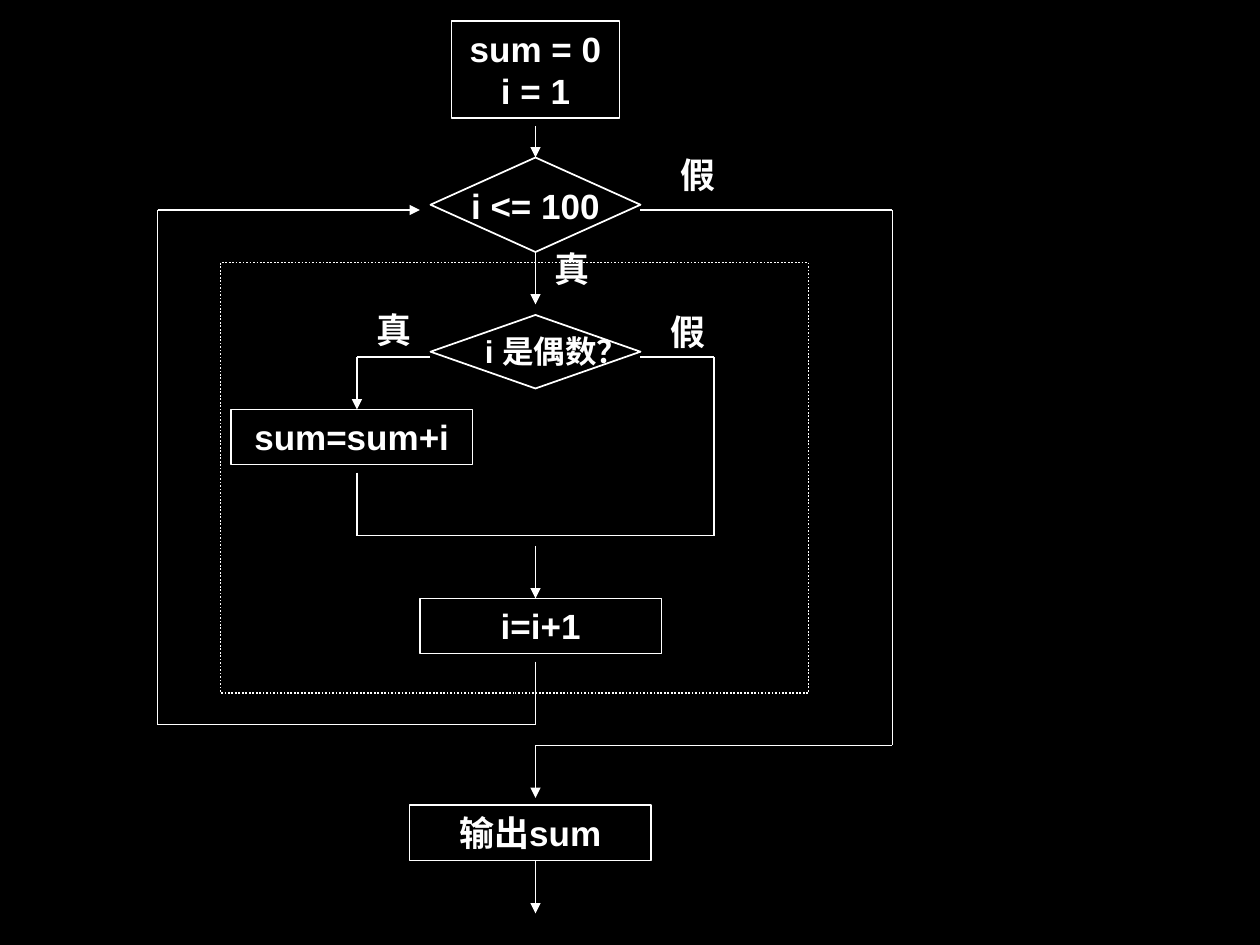
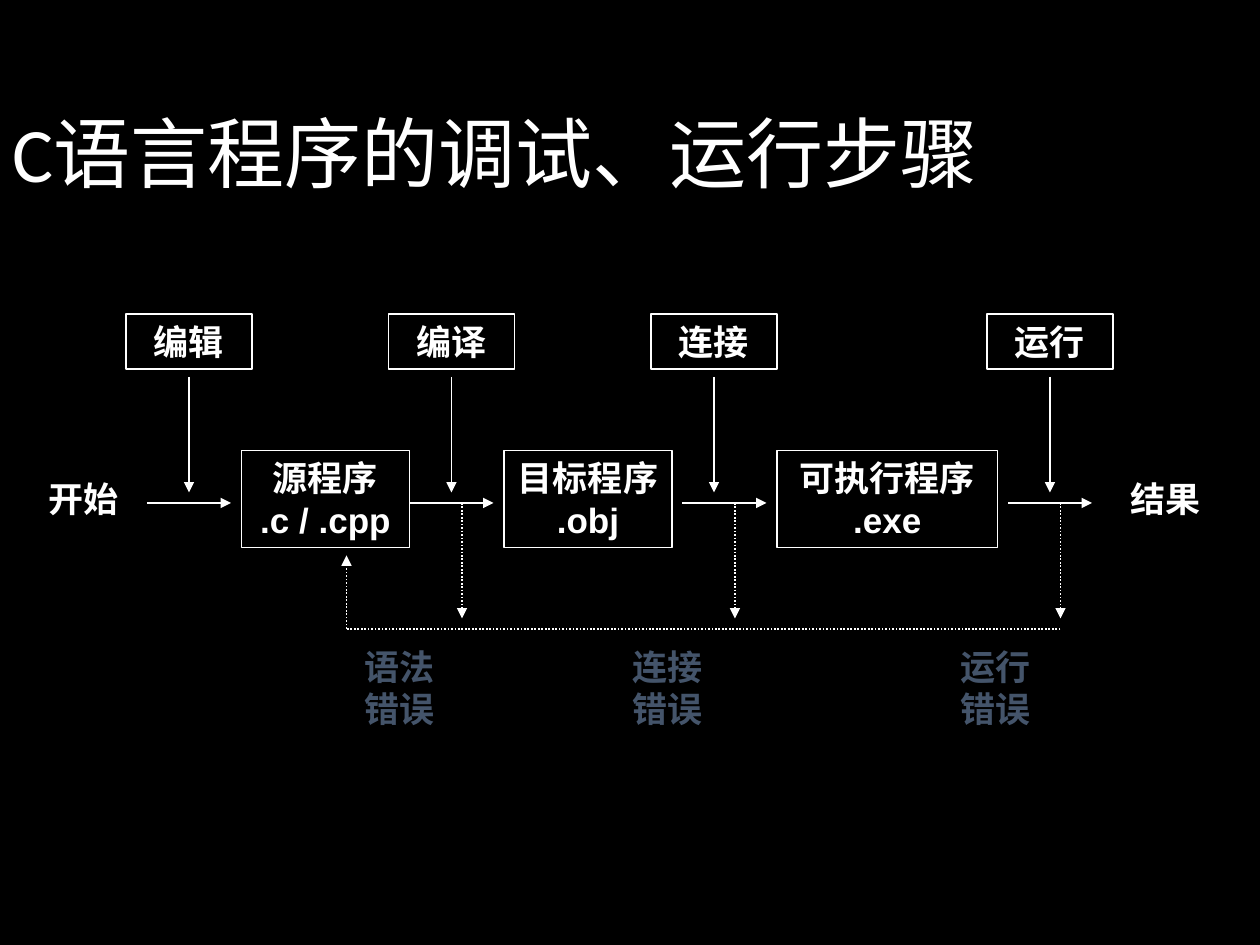
from dataclasses import dataclass
from itertools import pairwise

from lxml.etree import SubElement
from pptx import Presentation
from pptx.dml.color import RGBColor
from pptx.enum.dml import MSO_LINE as Dash
from pptx.enum.shapes import MSO_CONNECTOR as Conn, MSO_SHAPE as Shape
from pptx.enum.text import MSO_ANCHOR as Anchor, PP_ALIGN as Align
from pptx.oxml.ns import qn
from pptx.util import Inches, Pt


@dataclass(frozen=True)
class Theme:
    back: RGBColor = RGBColor.from_string("000000")
    ink: RGBColor = RGBColor.from_string("FFFFFF")
    error: RGBColor = RGBColor.from_string("44546A")
    body_font: str = "Arial"
    title_font: str = "Calibri"
    title: int = 44
    body: int = 20
    small: int = 18
    line: int = 1


T = Theme()
COLS, ROWS = 120, 90
WIDTH, HEIGHT = Inches(10), Inches(7.5)
ONE_LINE, TWO_LINES = 5.25, 9.25


@dataclass
class Region:
    shapes: object
    left: float = 0
    top: float = 0

    def point(self, col, row):
        return (round((self.left + col) * WIDTH / COLS),
                round((self.top + row) * HEIGHT / ROWS))

    def box(self, col, row, cols, rows):
        return (*self.point(col, row),
                round(cols * WIDTH / COLS), round(rows * HEIGHT / ROWS))


def write(tf, text, size=T.body, color=T.ink, font=T.body_font, bold=True,
          align=Align.CENTER, anchor=Anchor.TOP, spacing=None):
    tf.word_wrap = True
    tf.vertical_anchor = anchor
    for i, line in enumerate(text.split("\n")):
        p = tf.add_paragraph() if i else tf.paragraphs[0]
        p.alignment = align
        p.line_spacing = spacing
        r = p.add_run()
        r.text = line
        r.font.size = Pt(size)
        r.font.bold = bold
        r.font.name = font
        r.font.color.rgb = color


def style_line(line, dash):
    line.color.rgb = T.ink
    line.width = Pt(T.line)
    if dash:
        line.dash_style = dash


def outline(region, box, text="", kind=Shape.RECTANGLE, dash=None):
    sp = region.shapes.add_shape(kind, *region.box(*box))
    sp.shadow.inherit = False
    sp.fill.background()
    style_line(sp.line, dash)
    if text:
        write(sp.text_frame, text)
    return sp


def label(region, box, text, **fmt):
    tb = region.shapes.add_textbox(*region.box(*box))
    write(tb.text_frame, text, **fmt)


def route(region, *points, dash=None, arrow=True):
    for start, end in pairwise(points):
        cx = region.shapes.add_connector(
            Conn.STRAIGHT, *region.point(*start), *region.point(*end))
        style_line(cx.line, dash)
        SubElement(cx._element.spPr, qn("a:effectLst"))
    if arrow:
        SubElement(cx.line._get_or_add_ln(), qn("a:tailEnd"), type="triangle")
    return cx


def new_slide(prs):
    s = prs.slides.add_slide(prs.slide_layouts[6])
    s.background.fill.solid()
    s.background.fill.fore_color.rgb = T.back
    return s


def outer_loop(region, axis):
    outline(region, (axis - 8, 2, 16, TWO_LINES), "sum = 0\ni = 1")
    test = outline(region, (axis - 10, 15, 20, 9), kind=Shape.DIAMOND)
    route(region, (axis, 12), (axis, 15)).end_connect(test, 0)
    route(region, (axis, 24), (axis, 29)).begin_connect(test, 2)
    label(region, (axis - 10, 17, 20, ONE_LINE), "i <= 100")
    route(region, (axis, 63), (axis, 69), (15, 69), (15, 20), (40, 20))
    route(region, (61, 20), (85, 20), (85, 71), (axis, 71), (axis, 76))
    outline(region, (39, 76.7, 23, ONE_LINE), "输出sum")
    route(region, (axis, 82), (axis, 87))
    label(region, (axis, 23, 7, ONE_LINE), "真")
    label(region, (63, 14, 7, ONE_LINE), "假")


def loop_body(region, axis):
    outline(region, (0, 0, 56, 41), dash=Dash.ROUND_DOT)
    outline(region, (axis - 10, 5, 20, 7), kind=Shape.DIAMOND)
    label(region, (axis - 8, 6, 20, 4.75), "i 是偶数？", size=T.small)
    route(region, (axis - 10, 9), (13, 9), (13, 14))
    outline(region, (1, 14, 23, ONE_LINE), "sum=sum+i")
    route(region, (13, 20), (13, 26), (47, 26), (47, 9), (axis + 10, 9),
          arrow=False)
    route(region, (axis, 27), (axis, 32))
    outline(region, (19, 32, 23, ONE_LINE), "i=i+1")
    label(region, (13, 3.8, 7, ONE_LINE), "真")
    label(region, (41, 4, 7, ONE_LINE), "假")


def build_flowchart(prs):
    s = new_slide(prs)
    outer_loop(Region(s.shapes), axis=51)
    loop_body(Region(s.shapes, 21, 25), axis=30)


def title(region, text):
    label(region, (0, 0, 108, 18), text, size=T.title, font=T.title_font,
          bold=False, align=Align.LEFT, anchor=Anchor.MIDDLE, spacing=0.9)


def build_steps(region):
    main, fail, back = 18, 29, 30
    for col, text in ((2, "开始"), (105, "结果")):
        label(region, (col, 15, 12, ONE_LINE), text)
    for col, width, text in ((23, 16, "源程序\n.c / .cpp"),
                             (48, 16, "目标程序\n.obj"),
                             (74, 21, "可执行程序\n.exe")):
        outline(region, (col, 13, width, TWO_LINES), text)
    for col, start, text in ((12, 14, "编辑"), (37, 39, "编译"),
                             (62, 65, "连接"), (94, 96, "运行")):
        outline(region, (col, 0, 12, ONE_LINE), text)
        route(region, (col + 6, 6), (col + 6, main - 1))
        route(region, (start, main), (start + 8, main))
    for drop, col, text in ((44, 32.6, "语法"), (70, 58.1, "连接"),
                            (101, 89.3, "运行")):
        route(region, (drop, main), (drop, fail), dash=Dash.ROUND_DOT)
        label(region, (col, 31, 11, TWO_LINES), f"{text}\n错误",
              color=T.error)
    route(region, (101, back), (33, back), (33, 23), dash=Dash.ROUND_DOT)


def build_debugging(prs):
    s = new_slide(prs)
    title(Region(s.shapes, 0, 6), "C语言程序的调试、运行步骤")
    build_steps(Region(s.shapes, 0, 29.9))


def main():
    prs = Presentation()
    prs.slide_width, prs.slide_height = WIDTH, HEIGHT
    build_flowchart(prs)
    build_debugging(prs)
    prs.save("out.pptx")


if __name__ == "__main__":
    main()
